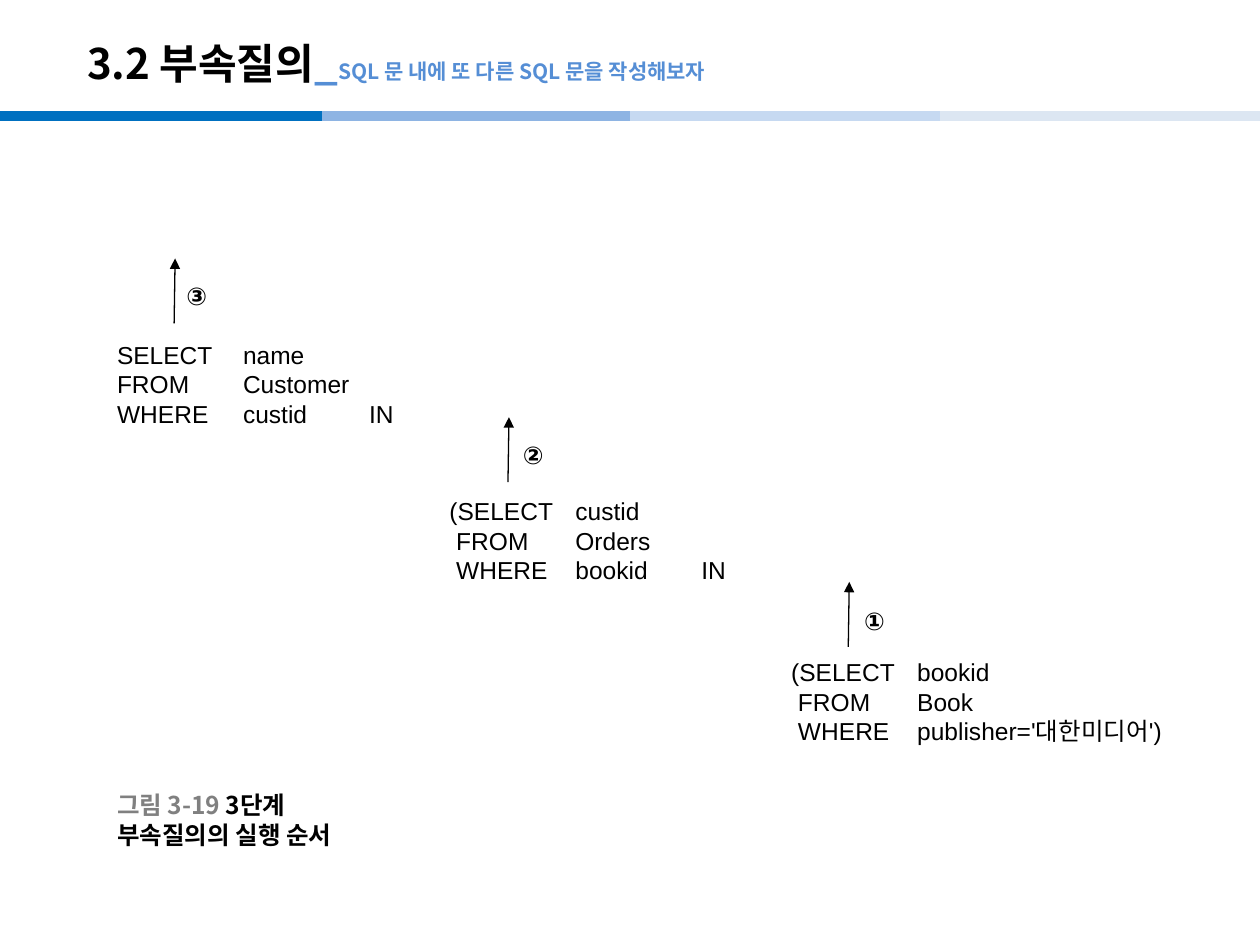
import pptx
import pptx.dml.color
import pptx.enum.shapes
import pptx.enum.text
import pptx.oxml.ns
import pptx.util
from lxml import etree

Cm = pptx.util.Cm
Pt = pptx.util.Pt
qn = pptx.oxml.ns.qn
KOREAN_FONT = "Noto Sans CJK KR"


def add_line(start_x, start_y, end_x, end_y, color, width):
    line = slide.shapes.add_connector(
        pptx.enum.shapes.MSO_CONNECTOR.STRAIGHT,
        Cm(start_x), Cm(start_y), Cm(end_x), Cm(end_y))
    line.line.color.rgb = pptx.dml.color.RGBColor.from_string(color)
    line.line.width = Pt(width)
    etree.SubElement(line._element.spPr, qn("a:effectLst"))
    return line


def add_heading_run(paragraph, text, size, color):
    run = paragraph.add_run()
    run.text = text
    run.font.size = Pt(size)
    run.font.bold = True
    run.font.name = KOREAN_FONT
    run.font.color.rgb = pptx.dml.color.RGBColor.from_string(color)
    etree.SubElement(run.font._element, qn("a:ea"), typeface=KOREAN_FONT)


deck = pptx.Presentation()
deck.slide_width = Cm(25.4)
deck.slide_height = Cm(19.05)
slide = deck.slides.add_slide(deck.slide_layouts[5])

for left, color in [(0, "0070C0"), (6.5, "8EB4E3"), (12.7, "C6D9F1"), (18.95, "DCE6F2")]:
    add_line(left, 2.34, left + 6.5, 2.34, color, 6)

title = slide.shapes.title
title.left, title.top, title.width, title.height = Cm(1.5), Cm(0.51), Cm(21), Cm(1.52)
title.text_frame.vertical_anchor = pptx.enum.text.MSO_ANCHOR.MIDDLE
title.text_frame.auto_size = pptx.enum.text.MSO_AUTO_SIZE.NONE
heading = title.text_frame.paragraphs[0]
heading.alignment = pptx.enum.text.PP_ALIGN.LEFT
add_heading_run(heading, "3.2 부속질의", 24, "000000")
add_heading_run(heading, "_", 24, "558ED5")
add_heading_run(heading, "SQL 문 내에 또 다른 SQL 문을 작성해보자", 12, "558ED5")

steps = [
    ("①", (15.7, 13.13), (17.12, 11.73), (17.17, 12.09),
     "(SELECT \tbookid\n FROM\tBook\n WHERE\tpublisher='대한미디어')"),
    ("②", (8.81, 9.88), (10.26, 8.41), (10.29, 8.74),
     "(SELECT \tcustid\n FROM\tOrders\n WHERE\tbookid \tIN"),
    ("③", (2.11, 6.73), (3.53, 5.21), (3.51, 5.54),
     "SELECT\tname\nFROM\tCustomer\nWHERE\tcustid \tIN"),
]
for number, query_at, (arrow_x, arrow_y), number_at, query in steps:
    for text, (left, top), width, height, is_number in [
        (query, query_at, 9.4, 2.06, False),
        (number, number_at, 1, 0.86, True),
    ]:
        box = slide.shapes.add_textbox(Cm(left), Cm(top), Cm(width), Cm(height))
        box.text_frame.word_wrap = not is_number
        box.text_frame.text = text
        for paragraph in box.text_frame.paragraphs:
            paragraph.font.name = "Arial"
            paragraph.font.size = Pt(14)
            paragraph.font.bold = is_number
            paragraph.font.color.rgb = pptx.dml.color.RGBColor.from_string("000000")
    arrow = add_line(arrow_x, arrow_y, arrow_x - 0.02, arrow_y + 1.31, "000000", 0.75)
    etree.SubElement(arrow.line._get_or_add_ln(), qn("a:headEnd"), type="triangle")

caption = slide.shapes.add_textbox(Cm(2.11), Cm(16.13), Cm(5.31), Cm(0.79))
caption.text_frame.word_wrap = False
caption.text_frame.vertical_anchor = pptx.enum.text.MSO_ANCHOR.MIDDLE
add_heading_run(caption.text_frame.paragraphs[0], "그림 3-19 ", 14, "808080")
add_heading_run(caption.text_frame.paragraphs[0], "3단계 부속질의의 실행 순서", 14, "000000")

deck.save("out.pptx")
